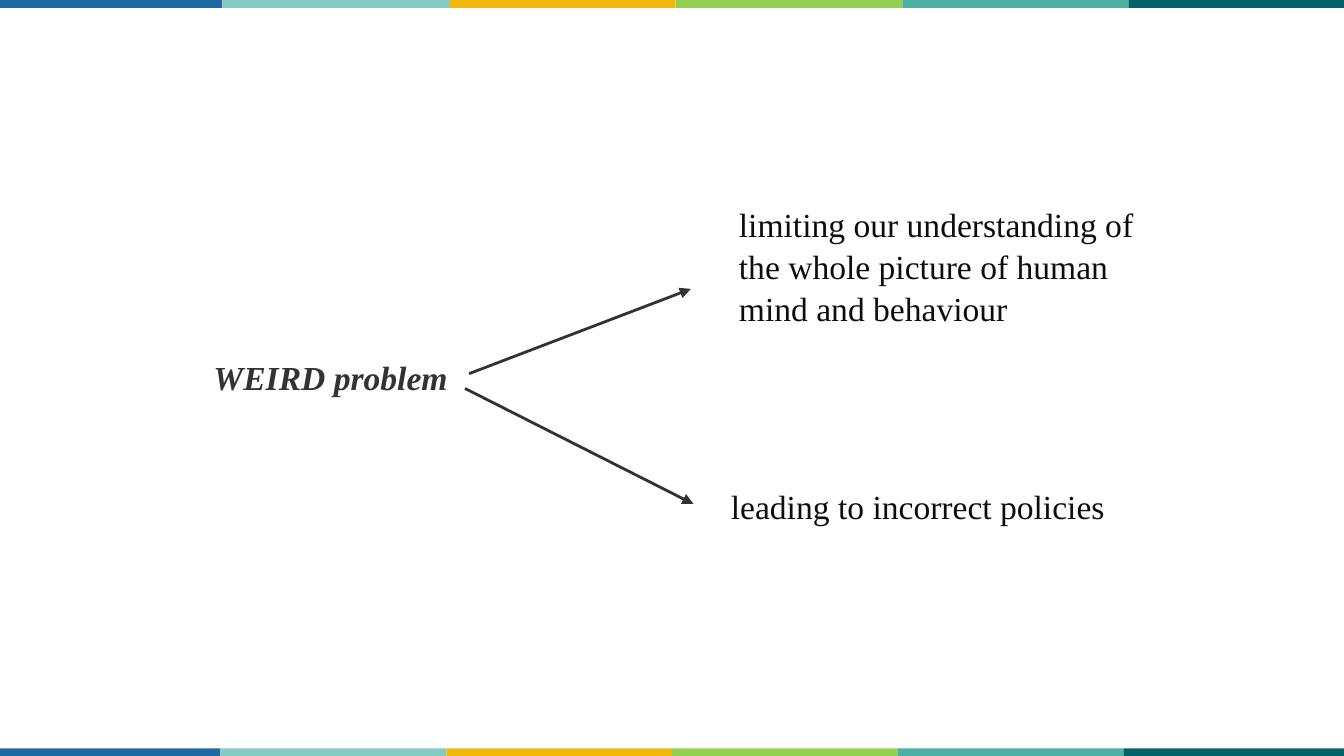
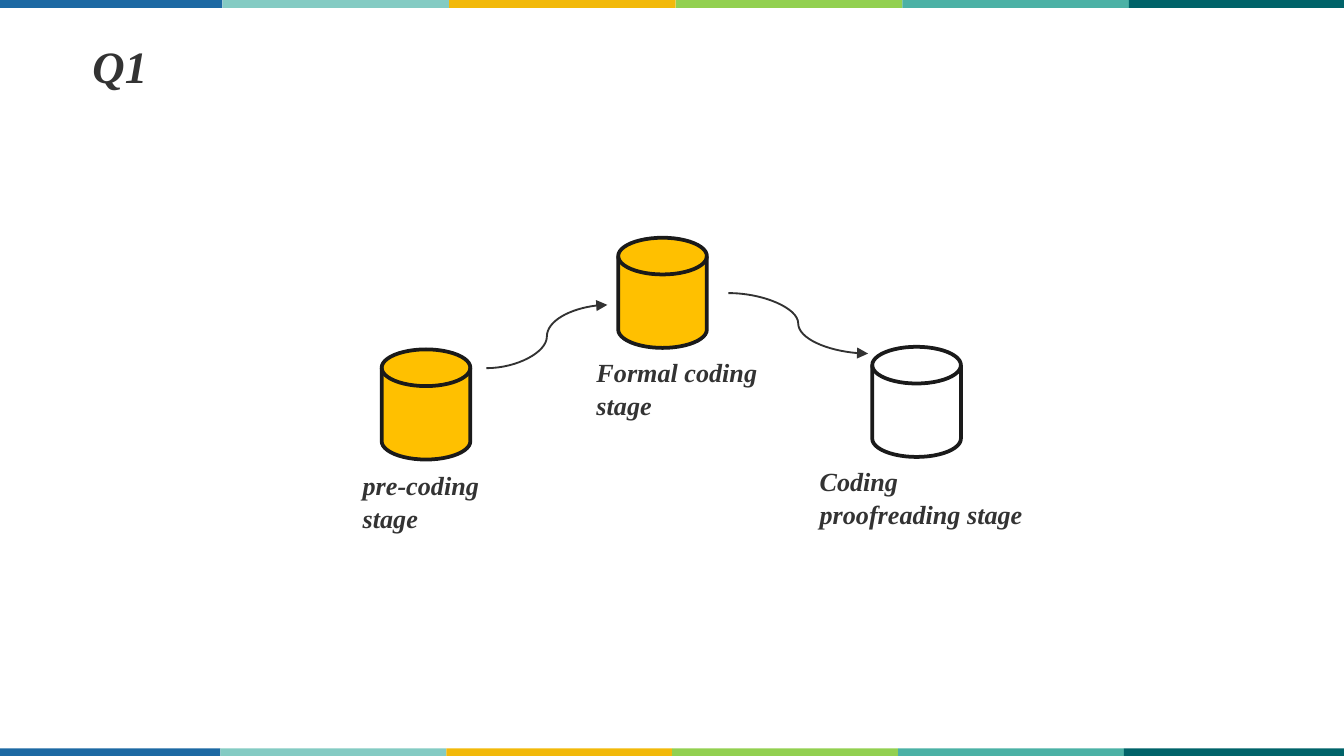
"""Builds two slides: the WEIRD problem and the coding stages of Q1."""
from lxml import etree
from pptx import Presentation
from pptx.dml.color import RGBColor
from pptx.enum.shapes import MSO_CONNECTOR, MSO_SHAPE
from pptx.enum.text import MSO_AUTO_SIZE
from pptx.oxml.ns import qn
from pptx.util import Pt

RECTANGLE = MSO_SHAPE.RECTANGLE
DISK = MSO_SHAPE.FLOWCHART_MAGNETIC_DISK
STRAIGHT = MSO_CONNECTOR.STRAIGHT
CURVE = MSO_CONNECTOR.CURVE
GROW = MSO_AUTO_SIZE.SHAPE_TO_FIT_TEXT

FONT = "Times New Roman"
COLORS = {
    "heading": "333333",
    "body": "0D0D0D",
    "arrow": "323232",
    "outline": "1A1A1A",
    "done": "FFC000",
}
BAND_COLORS = ["1D69A3", "84CBC3", "F2B90A", "92D050", "4BB1A5", "006369"]
BAND_HEIGHT = 4.3
DISK_SIZE = (47.5, 59)


def rgb(value):
    """Return the colour for a hex string."""
    return RGBColor.from_string(value)


def add_figure(slide, preset, left, top, width, height, fill=None, outline=None):
    """Add a preset shape with an optional fill and outline."""
    figure = slide.shapes.add_shape(preset, Pt(left), Pt(top), Pt(width), Pt(height))
    figure.shadow.inherit = False
    if fill:
        figure.fill.solid()
        figure.fill.fore_color.rgb = rgb(fill)
    else:
        figure.fill.background()
    if outline:
        figure.line.color.rgb = rgb(outline)
        figure.line.width = Pt(2)
    else:
        figure.line.fill.background()


def add_band(slide, left, top, step):
    """Add one row of coloured segments across the slide."""
    for index, color in enumerate(BAND_COLORS):
        add_figure(slide, RECTANGLE, left + index * step, top, step, BAND_HEIGHT, color)


def add_text(slide, text, left, top, width, height, size, heading=True):
    """Add a text box, bold italic for headings and plain for body text."""
    box = slide.shapes.add_textbox(Pt(left), Pt(top), Pt(width), Pt(height))
    frame = box.text_frame
    frame.word_wrap = True
    frame.auto_size = GROW
    paragraph = frame.paragraphs[0]
    paragraph.text = text
    paragraph.line_spacing = 1.05
    font = paragraph.font
    font.name = FONT
    font.size = Pt(size)
    font.bold = font.italic = heading
    font.color.rgb = rgb(COLORS["heading" if heading else "body"])


def add_arrow(slide, route, start, end, weight):
    """Add a connector with an arrowhead at its end."""
    arrow = slide.shapes.add_connector(route, *map(Pt, start + end))
    arrow.line.color.rgb = rgb(COLORS["arrow"])
    arrow.line.width = Pt(weight)
    properties = arrow.line._get_or_add_ln()
    etree.SubElement(properties, qn("a:tailEnd"), type="triangle")
    etree.SubElement(arrow._element.spPr, qn("a:effectLst"))


def add_banded_slide(deck):
    """Add a blank slide with the top and bottom bands."""
    slide = deck.slides.add_slide(deck.slide_layouts[6])
    add_band(slide, -2.2, 0, 121.4)
    add_band(slide, -2.9, 401, 121)
    return slide


def build_problem(deck):
    """Show the problem and its two consequences."""
    slide = add_banded_slide(deck)
    add_text(slide, "WEIRD problem", 107.3, 186.5, 141.1, 28.8, 18)
    add_arrow(slide, STRAIGHT, (251.3, 200.2), (370.1, 154.8), 1.5)
    add_arrow(slide, STRAIGHT, (249.1, 208.1), (371.5, 270), 1.5)
    consequences = [
        ("limiting our understanding of the whole picture of human mind and behaviour",
         388.8, 104.4, 227.5, 72.7),
        ("leading to incorrect policies", 384.5, 255.6, 230.4, 28.8),
    ]
    for consequence in consequences:
        add_text(slide, *consequence, size=18, heading=False)


def build_stages(deck):
    """Show the three coding stages, the last one still open."""
    slide = add_banded_slide(deck)
    add_text(slide, "Q1", 42.5, 15.8, 45.4, 36, 24)
    stages = [
        ("pre-coding stage", (204.5, 187.2), COLORS["done"], (187.2, 247, 82.8)),
        ("Formal coding stage", (331.2, 127.4), COLORS["done"], (312.5, 186.5, 102)),
        ("Coding proofreading stage", (467.3, 185.8), None, (432, 244.8, 126.7)),
    ]
    for name, corner, fill, label_place in stages:
        add_figure(slide, DISK, *corner, *DISK_SIZE, fill, COLORS["outline"])
        add_text(slide, name, *label_place, 18, 14)
    add_arrow(slide, CURVE, (260.6, 197.3), (325.4, 163.4), 1)
    add_arrow(slide, CURVE, (390.2, 157), (465.1, 189.4), 1)


def main():
    """Build and save the presentation."""
    deck = Presentation()
    deck.slide_width, deck.slide_height = Pt(720), Pt(405)
    build_problem(deck)
    build_stages(deck)
    deck.save("out.pptx")


if __name__ == "__main__":
    main()
